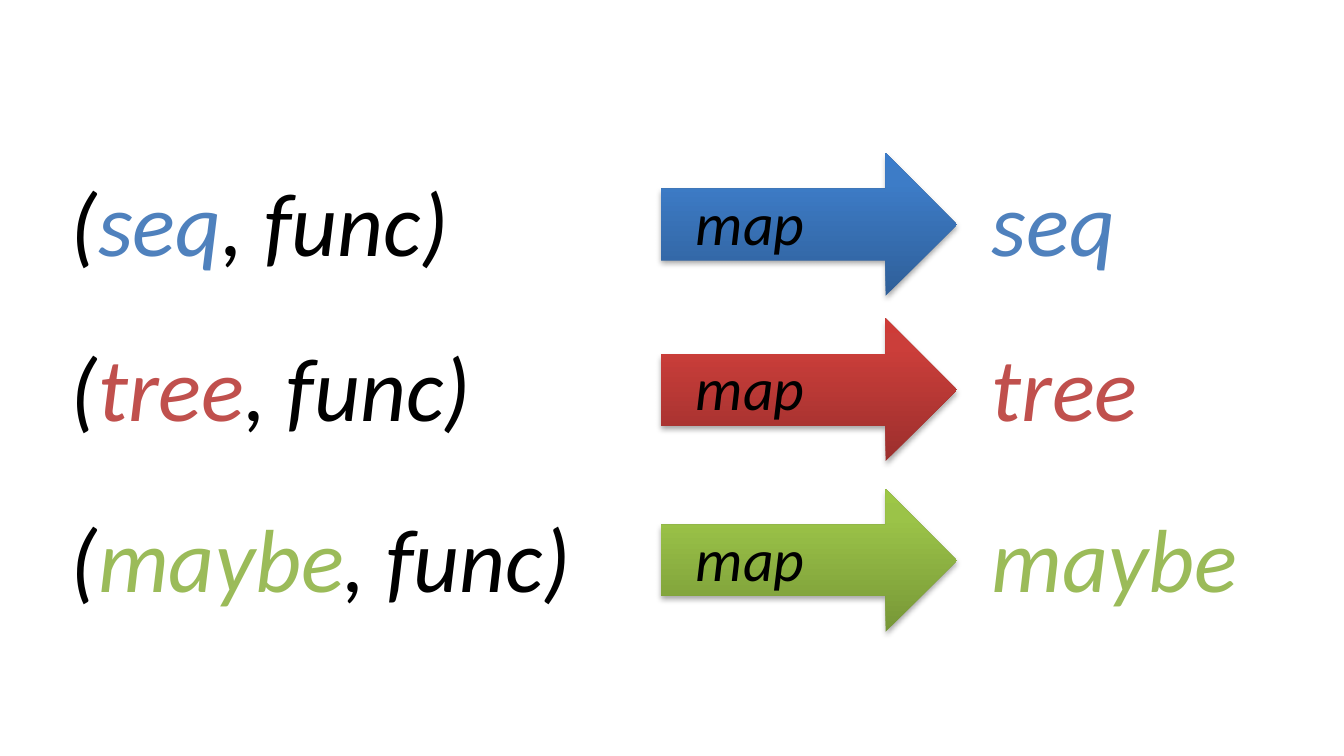
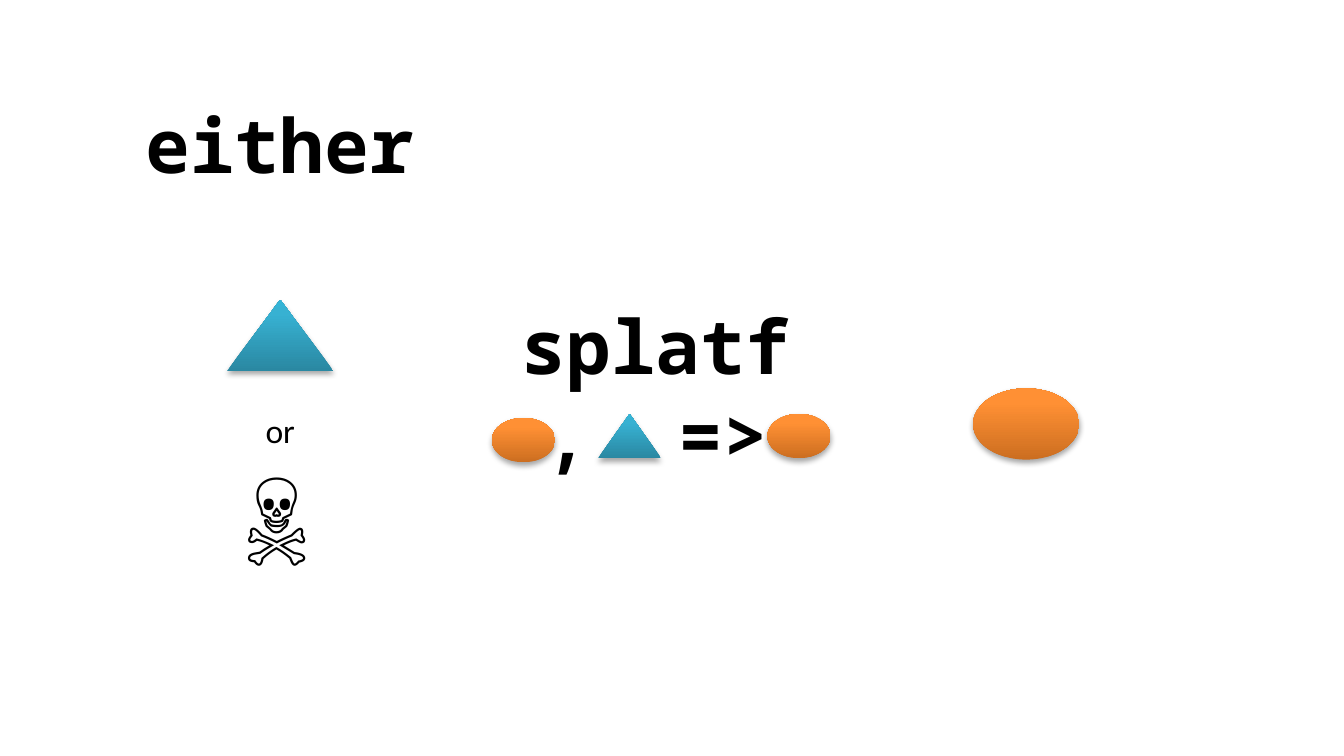
from copy import deepcopy
from dataclasses import dataclass

from lxml.etree import SubElement
from pptx import Presentation
from pptx.dml.color import RGBColor
from pptx.enum.shapes import MSO_SHAPE
from pptx.enum.text import MSO_AUTO_SIZE, PP_ALIGN
from pptx.oxml.ns import qn
from pptx.slide import Slide
from pptx.util import Inches, Pt

PAGE_WIDTH = 10
PAGE_HEIGHT = PAGE_WIDTH * 9 / 16
CELL = PAGE_WIDTH / 100
BLACK = "000000"
SANS = "Calibri"
MONO = "Noto Sans Mono"


@dataclass(frozen=True)
class Area:
    column: float
    row: float
    columns: float
    rows: float

    def lengths(self) -> list[int]:
        return [Inches(cells * CELL) for cells in (self.column, self.row, self.columns, self.rows)]


@dataclass(frozen=True)
class Gradient:
    bottom: str
    upper: str
    top: str


@dataclass(frozen=True)
class Style:
    size: int
    font: str = SANS
    bold: bool = False
    italic: bool = False
    align: PP_ALIGN = PP_ALIGN.LEFT


@dataclass(frozen=True)
class Span:
    text: str
    colour: str = BLACK


@dataclass(frozen=True)
class Line:
    spans: tuple[Span, ...]
    tabs: tuple[float, ...] = ()


@dataclass(frozen=True)
class Mapping:
    name: str
    colour: str
    gradient: Gradient
    row: float
    input_columns: float
    output_columns: float


@dataclass(frozen=True)
class Token:
    preset: MSO_SHAPE
    gradient: Gradient
    area: Area


BLUE = Gradient("2F5F99", "3D7CC7", "3A7CCB")
RED = Gradient("9C2F2D", "CB3E3A", "CE3B37")
GREEN = Gradient("779737", "9BC348", "9DC746")
TEAL = Gradient("2A88A2", "37B1D2", "34B4D6")
ORANGE = Gradient("CC6E20", "FF9034", "FF9136")

TERM = Style(48, italic=True)
ARROW_LABEL = Style(32, italic=True)
CODE = Style(40, MONO, bold=True, align=PP_ALIGN.CENTER)
SYMBOL = Style(48, align=PP_ALIGN.CENTER)
NOTE = Style(18, align=PP_ALIGN.CENTER)

MAPPINGS = (
    Mapping("seq", "4F81BD", BLUE, 11.9, 35.4, 22.8),
    Mapping("tree", "C0504D", RED, 24.2, 35.4, 24.4),
    Mapping("maybe", "9BBB59", GREEN, 36.9, 45, 26.8),
)

TOKENS = (
    Token(MSO_SHAPE.ISOSCELES_TRIANGLE, TEAL, Area(16.9, 22.3, 7.9, 5.3)),
    Token(MSO_SHAPE.OVAL, ORANGE, Area(72.4, 28.9, 7.9, 5.3)),
    Token(MSO_SHAPE.ISOSCELES_TRIANGLE, TEAL, Area(44.5, 30.8, 4.7, 3.3)),
    Token(MSO_SHAPE.OVAL, ORANGE, Area(57.1, 30.8, 4.7, 3.3)),
    Token(MSO_SHAPE.OVAL, ORANGE, Area(36.6, 31.1, 4.7, 3.3)),
)


def rgb(colour: str) -> RGBColor:
    return RGBColor.from_string(colour)


def add_text(page: Slide, area: Area, style: Style, *lines: Line) -> None:
    frame = page.shapes.add_textbox(*area.lengths()).text_frame
    frame.word_wrap = True
    frame.auto_size = MSO_AUTO_SIZE.SHAPE_TO_FIT_TEXT
    for index, line in enumerate(lines):
        para = frame.add_paragraph() if index else frame.paragraphs[0]
        para.alignment = PP_ALIGN.LEFT if line.tabs else style.align
        if line.tabs:
            tab_list = SubElement(para._p.get_or_add_pPr(), qn("a:tabLst"))
            for cells in line.tabs:
                SubElement(tab_list, qn("a:tab"), pos=str(Inches(cells * CELL)), algn="l")
        para.font.name = style.font
        para.font.size = Pt(style.size)
        para.font.bold = style.bold
        para.font.italic = style.italic
        para.font.color.rgb = rgb(BLACK)
        for span in line.spans:
            run = para.add_run()
            run.text = span.text
            if span.colour != BLACK:
                run.font.color.rgb = rgb(span.colour)


def add_label(page: Slide, area: Area, style: Style, text: str, colour: str = BLACK) -> None:
    add_text(page, area, style, Line((Span(text, colour),)))


def add_solid(page: Slide, preset: MSO_SHAPE, area: Area, gradient: Gradient) -> None:
    shape = page.shapes.add_shape(preset, *area.lengths())
    shape.line.fill.background()
    shape.fill.gradient()
    shape.fill.gradient_angle = 90
    properties = shape._element.spPr
    stop_list = properties.find(".//" + qn("a:gsLst"))
    stop_list.append(deepcopy(stop_list[0]))
    stops = ((0, gradient.bottom), (0.8, gradient.upper), (1, gradient.top))
    for stop, (position, colour) in zip(shape.fill.gradient_stops, stops):
        stop.position = position
        stop.color.rgb = rgb(colour)
    shape.shadow.inherit = False
    shadow = SubElement(
        properties.find(qn("a:effectLst")),
        qn("a:outerShdw"),
        blurRad=str(Pt(3.1)),
        dist=str(Pt(1.8)),
        dir="5400000",
        rotWithShape="0",
    )
    shade = SubElement(shadow, qn("a:srgbClr"), val=BLACK)
    SubElement(shade, qn("a:alpha"), val="35000")


def add_mapping(page: Slide, mapping: Mapping) -> None:
    row = mapping.row
    signature = Line((Span("("), Span(mapping.name, mapping.colour), Span(", func)")))
    add_text(page, Area(4.3, row, mapping.input_columns, 9.1), TERM, signature)
    add_solid(page, MSO_SHAPE.RIGHT_ARROW, Area(49.2, row - 0.5, 22, 10.6), mapping.gradient)
    add_label(page, Area(50.8, row + 1.4, 17.3, 6.4), ARROW_LABEL, "map")
    output = Area(72.8, row, mapping.output_columns, 9.1)
    add_label(page, output, TERM, mapping.name, mapping.colour)


def build_map_page(page: Slide) -> None:
    for mapping in MAPPINGS:
        add_mapping(page, mapping)


def build_either_page(page: Slide) -> None:
    add_label(page, Area(10.6, 33.6, 20, 9.1), SYMBOL, "☠")
    add_label(page, Area(9.4, 6.9, 22.8, 7.7), CODE, "either")
    add_label(page, Area(16.9, 30, 7.9, 4), NOTE, "or")
    arguments = Line((Span("\t,\t=>"),), tabs=(2.1, 12.1))
    add_text(page, Area(37.4, 21.8, 22.8, 14.5), CODE, Line((Span("splatf"),)), arguments)
    for token in TOKENS:
        add_solid(page, token.preset, token.area, token.gradient)


def main() -> None:
    deck = Presentation()
    deck.slide_width = Inches(PAGE_WIDTH)
    deck.slide_height = Inches(PAGE_HEIGHT)
    for build in (build_map_page, build_either_page):
        build(deck.slides.add_slide(deck.slide_layouts[6]))
    deck.save("out.pptx")


if __name__ == "__main__":
    main()
